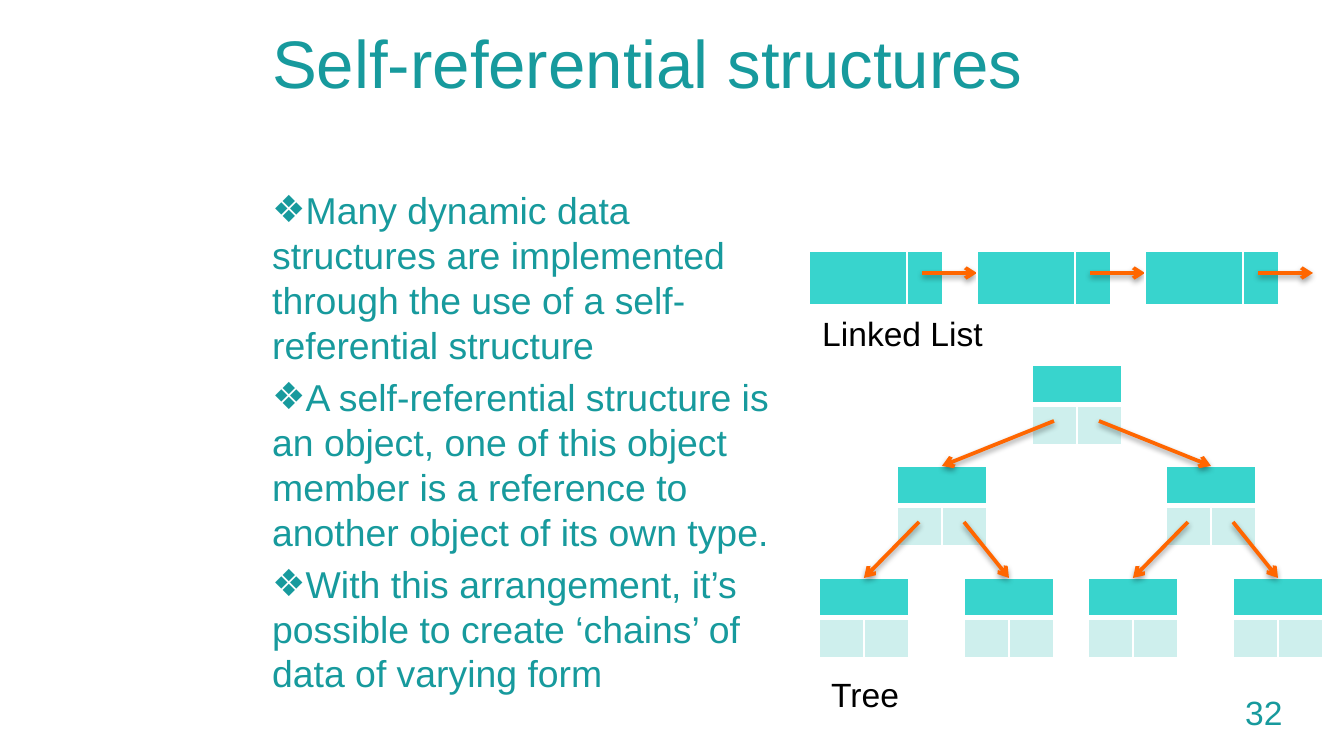
"""Build the slide on self-referential structures: a linked list and a tree."""
from lxml import etree
from pptx import Presentation
from pptx.dml.color import RGBColor
from pptx.enum.shapes import MSO_CONNECTOR
from pptx.enum.text import MSO_ANCHOR
from pptx.oxml import parse_xml
from pptx.oxml.ns import nsdecls, qn
from pptx.util import Pt

STRAIGHT = MSO_CONNECTOR.STRAIGHT
TOP, MIDDLE = MSO_ANCHOR.TOP, MSO_ANCHOR.MIDDLE

COLORS = {"teal": "179A9D", "head": "38D4CD", "pointer": "CEEFED",
          "arrow": "FF6600", "border": "FFFFFF", "label": "000000"}
FONT = "Arial"
BULLET = "❖"

TITLE = ["Self-referential structures"]
POINTS = [
    "Many dynamic data structures are implemented through the use of a self-referential structure",
    "A self-referential structure is an object, one of this object member is a reference to another object of its own type.",
    "With this arrangement, it’s possible to create ‘chains’ of data of varying form",
]
TEXTS = [
    {"lines": TITLE, "box": (259, 19, 1085, 85), "size": 36, "color": "teal",
     "before": 7, "anchor": MIDDLE},
    {"lines": POINTS, "box": (259, 156, 530, 571), "size": 20, "color": "teal",
     "before": 4, "anchor": MIDDLE, "bullet": True},
    {"lines": ["Linked List"], "box": (809, 306, 190, 54), "wrap": False},
    {"lines": ["Tree"], "box": (818, 667, 95, 54), "wrap": False},
    {"lines": ["32"], "box": (1232, 685, 85, 54), "color": "teal"},
]
TEXT_DEFAULTS = {"size": 18, "color": "label", "before": 0, "anchor": TOP,
                 "bullet": False, "wrap": True}

LIST_LEFT, LIST_TOP, LIST_STEP, LIST_COUNT = 809, 251, 168, 3
LIST_COLS, LIST_ROWS = (98, 36), (55,)
LINK_START, LINK_DROP = 113, 22

ROOT = (1032, 365)
TREE_COLS, TREE_ROWS = (45, 45), (40, 40)
CHILD_OFFSETS = [((-135, 101), (134, 101)), ((-78, 112), (67, 112))]
POINTER_STARTS = ((22, 56), (67, 56))

PX = 914400 / 134.4
CELL_FORMAT = {"margin_left": 0, "margin_right": 0, "margin_top": 0, "margin_bottom": 0}
TABLE_FORMAT = {"first_row": False, "horz_banding": False}


def px(value):
    return round(value * PX)


def rgb(name):
    return RGBColor.from_string(COLORS[name])


def apply(target, values):
    for name, value in values.items():
        setattr(target, name, value)


def add_bullet(paragraph, color):
    properties = paragraph._p.get_or_add_pPr()
    apply_xml = {"marL": "0", "indent": "0"}
    for name, value in apply_xml.items():
        properties.set(name, value)
    bullet_color = etree.SubElement(properties, qn("a:buClr"))
    etree.SubElement(bullet_color, qn("a:srgbClr"), val=COLORS[color])
    etree.SubElement(properties, qn("a:buFont"), typeface=FONT)
    etree.SubElement(properties, qn("a:buChar"), char=BULLET)


def add_text(slide, content):
    content = {**TEXT_DEFAULTS, **content}
    frame = slide.shapes.add_textbox(*map(px, content["box"])).text_frame
    apply(frame, {"word_wrap": content["wrap"], "vertical_anchor": content["anchor"]})
    for index, line in enumerate(content["lines"]):
        paragraph = frame.add_paragraph() if index else frame.paragraphs[0]
        paragraph.space_before = Pt(content["before"])
        if content["bullet"]:
            add_bullet(paragraph, content["color"])
        run = paragraph.add_run()
        run.text = line
        apply(run.font, {"name": FONT, "size": Pt(content["size"])})
        run.font.color.rgb = rgb(content["color"])


def format_cell(cell, color, bottom):
    apply(cell, CELL_FORMAT)
    cell.fill.solid()
    cell.fill.fore_color.rgb = rgb(color)
    etree.SubElement(cell.text_frame.paragraphs[0]._p, qn("a:endParaRPr"), sz="800")
    for index, (side, width) in enumerate(zip("LRTB", (1, 1, 1, bottom))):
        cell._tc.tcPr.insert(index, parse_xml(
            f'<a:ln{side} {nsdecls("a")} w="{Pt(width)}"><a:solidFill>'
            f'<a:srgbClr val="{COLORS["border"]}"/></a:solidFill></a:ln{side}>'))


def add_node(slide, left, top, columns, rows):
    box = map(px, (left, top, sum(columns), sum(rows)))
    table = slide.shapes.add_table(len(rows), len(columns), *box).table
    apply(table, TABLE_FORMAT)
    for column, width in zip(table.columns, columns):
        column.width = px(width)
    for index, (row, height) in enumerate(zip(table.rows, rows)):
        row.height = px(height)
        for cell in row.cells:
            format_cell(cell, "pointer" if index else "head", 1 if index else 3)
    if len(rows) > 1:
        table.cell(0, 0).merge(table.cell(0, len(columns) - 1))


def add_arrow(slide, start, end):
    arrow = slide.shapes.add_connector(STRAIGHT, *map(px, (*start, *end)))
    arrow.line.color.rgb = rgb("arrow")
    arrow.line.width = Pt(2)
    etree.SubElement(arrow.line._get_or_add_ln(), qn("a:tailEnd"), type="arrow")
    arrow.element.spPr.append(parse_xml(
        f'<a:effectLst {nsdecls("a")}><a:outerShdw blurRad="40000" dist="20000" '
        'dir="5400000" rotWithShape="0"><a:srgbClr val="000000">'
        '<a:alpha val="38000"/></a:srgbClr></a:outerShdw></a:effectLst>'))


def add_linked_list(slide):
    for index in range(LIST_COUNT):
        left = LIST_LEFT + index * LIST_STEP
        add_node(slide, left, LIST_TOP, LIST_COLS, LIST_ROWS)
        level = LIST_TOP + LINK_DROP
        add_arrow(slide, (left + LINK_START, level), (left + LIST_STEP, level))


def add_tree(slide):
    nodes, links, parents = [ROOT], [], [ROOT]
    for offsets in CHILD_OFFSETS:
        children = []
        for x, y in parents:
            for (dx, dy), (start_x, start_y) in zip(offsets, POINTER_STARTS):
                child = (x + dx, y + dy)
                children.append(child)
                links.append(((x + start_x, y + start_y),
                              (child[0] + TREE_COLS[0], child[1])))
        nodes += children
        parents = children
    for node in nodes:
        add_node(slide, *node, TREE_COLS, TREE_ROWS)
    for start, end in links:
        add_arrow(slide, start, end)


def main():
    deck = Presentation()
    apply(deck, {"slide_width": px(1344), "slide_height": px(756)})
    slide = deck.slides.add_slide(deck.slide_layouts[6])
    for content in TEXTS:
        add_text(slide, content)
    add_linked_list(slide)
    add_tree(slide)
    deck.save("out.pptx")


if __name__ == "__main__":
    main()
